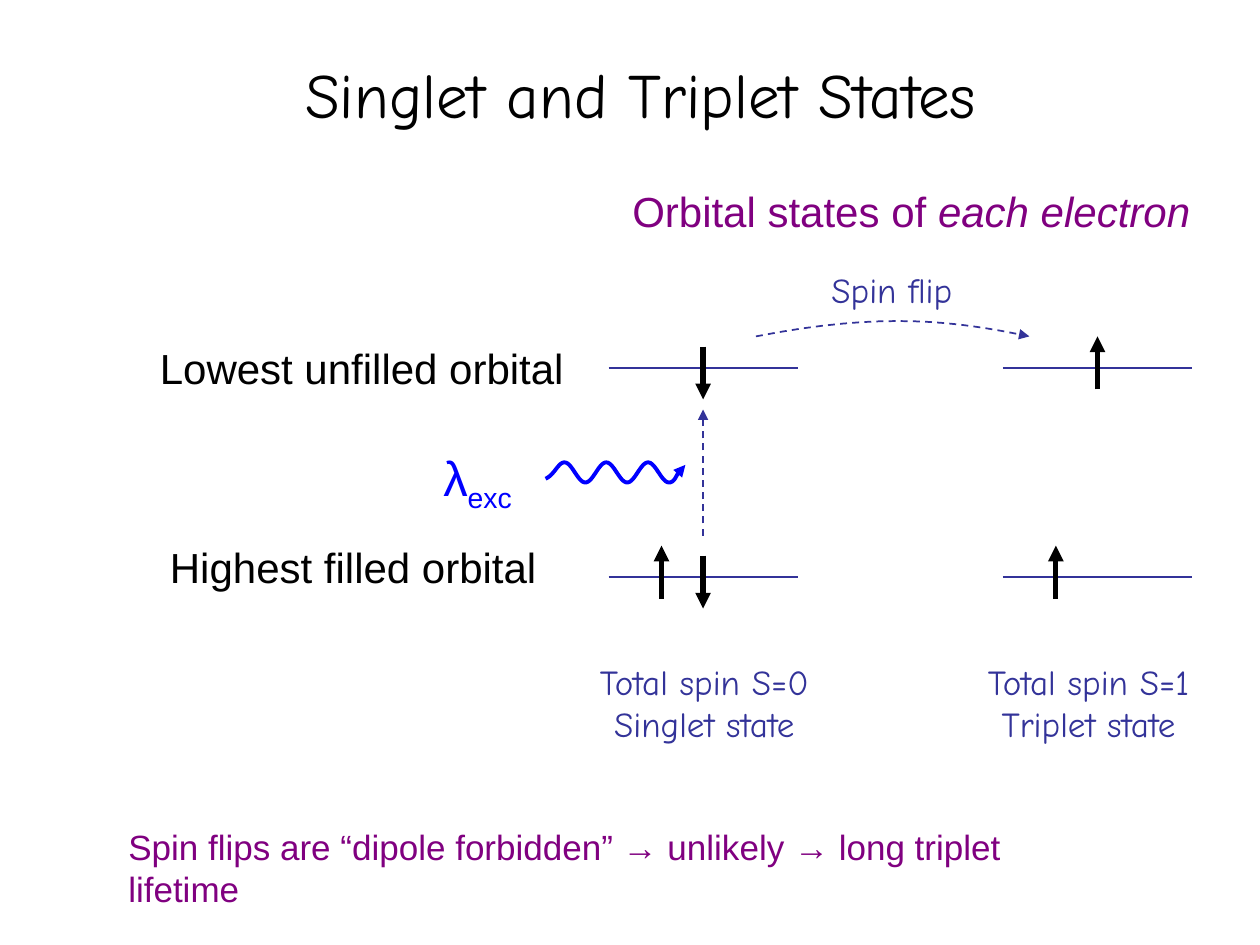
from dataclasses import dataclass

from lxml import etree
from pptx import Presentation
from pptx.dml.color import RGBColor
from pptx.enum.dml import MSO_LINE
from pptx.enum.shapes import MSO_CONNECTOR
from pptx.enum.text import MSO_ANCHOR, PP_ALIGN
from pptx.oxml.ns import qn
from pptx.util import Inches, Pt

BLACK = RGBColor(0x00, 0x00, 0x00)
INDIGO = RGBColor(0x33, 0x33, 0x99)
PURPLE = RGBColor(0x80, 0x00, 0x80)
BLUE = RGBColor(0x00, 0x00, 0xFF)
DASH = MSO_LINE.DASH
STRAIGHT = MSO_CONNECTOR.STRAIGHT
TOP = MSO_ANCHOR.TOP
LEFT, CENTER = PP_ALIGN.LEFT, PP_ALIGN.CENTER
SANS, HAND = "Arial", "Comic Neue"

Point = tuple[float, float]
LOW, HIGH = 4.58, 2.92  # heights of the filled and unfilled orbitals
STEPS = 16


@dataclass
class Label:
    box: tuple[float, float, float, float]
    lines: list[str]
    size: int
    color: RGBColor
    font: str = SANS
    align: PP_ALIGN = LEFT
    wrap: bool = False


@dataclass
class State:
    left: float
    spins: list[tuple[float, float, bool]]  # x, orbital height, points up


LABELS = [
    Label((4.58, 5.19, 2.02, 0.8), ["Total spin S=0", "Singlet state"], 20, INDIGO, HAND, CENTER),
    Label((7.66, 5.19, 1.96, 0.8), ["Total spin S=1", "Triplet state"], 20, INDIGO, HAND, CENTER),
    Label((6.5, 2.08, 1.26, 0.45), ["Spin flip"], 20, INDIGO, HAND),
    Label((1.25, 4.25, 3.11, 0.5), ["Highest filled orbital"], 24, BLACK),
    Label((1.17, 2.67, 3.41, 0.5), ["Lowest unfilled orbital"], 24, BLACK),
    Label((0.92, 6.5, 8.07, 0.43),
          ["Spin flips are “dipole forbidden” → unlikely → long triplet lifetime"],
          20, PURPLE, wrap=True),
]
ORBIT = Label((4.92, 1.42, 4.63, 0.5), ["Orbital states of "], 24, PURPLE)
LAMBDA = Label((3.42, 3.5, 0.83, 0.57), ["λ"], 28, BLUE)
STATES = [
    State(4.83, [(5.25, LOW, True), (5.58, LOW, False), (5.58, HIGH, False)]),
    State(7.96, [(8.38, LOW, True), (8.71, HIGH, True)]),
]


def style(run, label: Label, **extra) -> None:
    form = {"name": label.font, "size": Pt(label.size), **extra}
    for key, value in form.items():
        setattr(run.font, key, value)
    run.font.color.rgb = label.color


def write(slide, label: Label):
    """Add a text box and return its last paragraph."""
    frame = slide.shapes.add_textbox(*map(Inches, label.box)).text_frame
    frame.word_wrap = label.wrap
    frame.text = "\n".join(label.lines)
    for para in frame.paragraphs:
        para.alignment = label.align
        style(para.runs[0], label)
    return para


def stroke(shape, color: RGBColor, width: float, dash=None, arrow: bool = False) -> None:
    line = shape.line
    line.color.rgb = color
    line.width = Pt(width)
    if dash:
        line.dash_style = dash
    if arrow:
        etree.SubElement(line._get_or_add_ln(), qn("a:tailEnd"), type="triangle")


def join(slide, start: Point, end: Point, color: RGBColor, width: float,
         dash=None, arrow: bool = False) -> None:
    link = slide.shapes.add_connector(STRAIGHT, *map(Inches, start + end))
    stroke(link, color, width, dash, arrow)
    etree.SubElement(link._element.spPr, qn("a:effectLst"))


def spin(slide, x: float, level: float, up: bool) -> None:
    side = -1 if up else 1
    join(slide, (x, level - side * 0.17), (x, level + side * 0.25), BLACK, 3, arrow=True)


def bezier(a: Point, b: Point, c: Point, d: Point) -> list[Point]:
    """Sample a cubic curve, leaving out its start."""
    points = []
    for step in range(1, STEPS + 1):
        t = step / STEPS
        u = 1 - t
        mix = (u**3, 3 * u * u * t, 3 * u * t * t, t**3)
        points.append(tuple(sum(m * p[i] for m, p in zip(mix, (a, b, c, d))) for i in (0, 1)))
    return points


def curve(slide, nodes: list[Point], color: RGBColor, width: float, dash=None) -> None:
    """Draw an arrow along cubic segments that share their end nodes."""
    points = [nodes[0]]
    for i in range(0, len(nodes) - 1, 3):
        points += bezier(*nodes[i:i + 4])
    # Freeform points are rounded to whole units, so they are given in EMU.
    start, *rest = [(Inches(x), Inches(y)) for x, y in points]
    pen = slide.shapes.build_freeform(*start)
    pen.add_line_segments(rest, close=False)
    shape = pen.convert_to_shape()
    shape.shadow.inherit = False
    shape.fill.background()
    stroke(shape, color, width, dash, arrow=True)


def wave() -> list[Point]:
    nodes = [(4.33, 3.8), (4.4, 3.77), (4.43, 3.67), (4.48, 3.67)]
    x, y = nodes[-1]
    for i in range(5):
        turn = 3.83 if i % 2 == 0 else 3.67
        end = 4.48 + (i + 1) * 0.83 / 5
        nodes += [(x + 0.06, y), (end - 0.06, turn), (end, turn)]
        x, y = end, turn
    return nodes + [(5.37, 3.83), (5.37, 3.73), (5.44, 3.69)]


def head(slide) -> None:
    title = slide.shapes.title
    box = dict(left=0.92, top=0.46, width=8.33, height=0.67)
    for key, value in box.items():
        setattr(title, key, Inches(value))
    frame = title.text_frame
    frame.text = "Singlet and Triplet States"
    frame.vertical_anchor = TOP
    para = frame.paragraphs[0]
    para.alignment, para.line_spacing = CENTER, 0.9
    style(para.runs[0], Label((0, 0, 0, 0), [], 36, BLACK, HAND))


def main() -> None:
    deck = Presentation()
    deck.slide_width, deck.slide_height = Inches(10), Inches(7.5)
    slide = deck.slides.add_slide(deck.slide_layouts[5])
    head(slide)

    for label in LABELS:
        write(slide, label)
    run = write(slide, ORBIT).add_run()
    run.text = "each electron"
    style(run, ORBIT, italic=True)
    run = write(slide, LAMBDA).add_run()
    run.text = "exc"
    style(run, LAMBDA)
    run.font._element.set("baseline", "-25000")

    for state in STATES:
        for level in (LOW, HIGH):
            join(slide, (state.left, level), (state.left + 1.5, level), INDIGO, 1)
        for x, level, up in state.spins:
            spin(slide, x, level, up)

    join(slide, (5.58, 4.25), (5.58, 3.25), INDIGO, 1, DASH, arrow=True)
    curve(slide, wave(), BLUE, 2.25)
    curve(slide, [(6, 2.67), (7.02, 2.47), (7.59, 2.55), (8.17, 2.67)], INDIGO, 1, DASH)
    deck.save("out.pptx")


if __name__ == "__main__":
    main()
